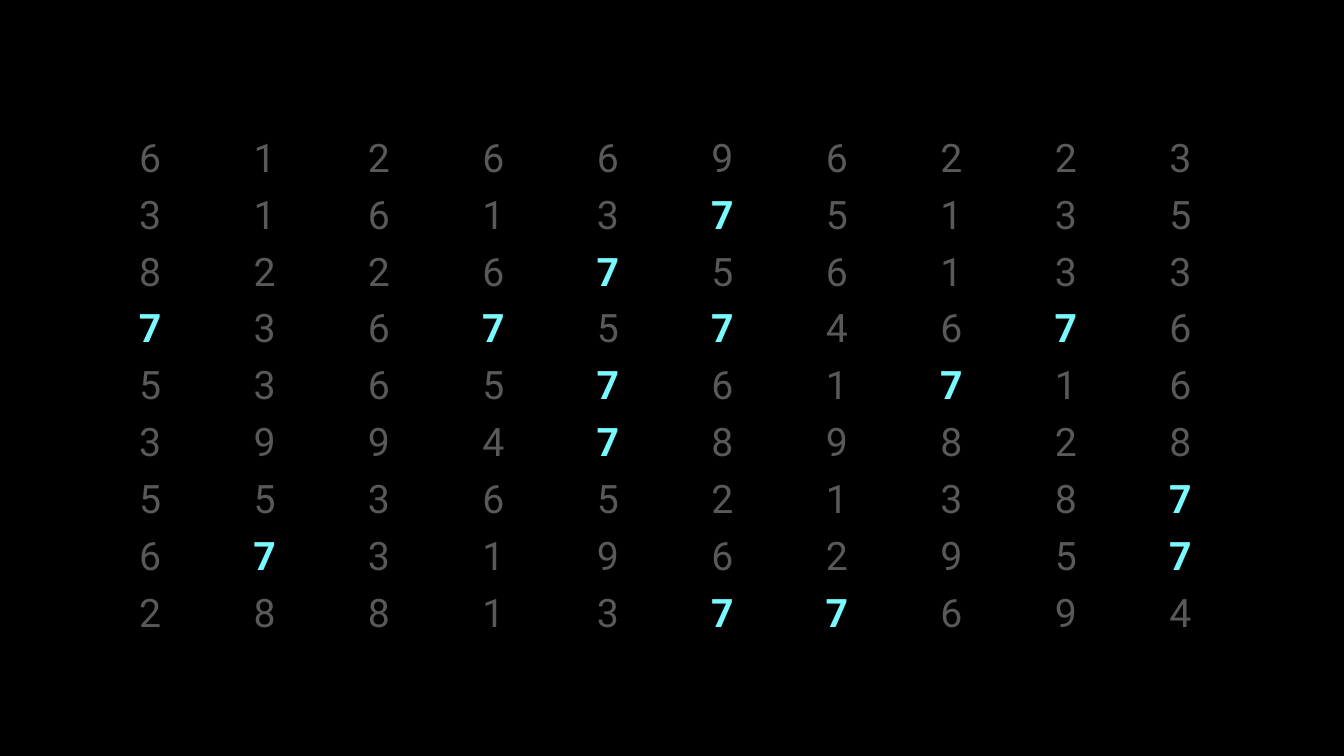
"""Build a slide with a grid of digits in which every seven stands out."""
from dataclasses import dataclass

from lxml.etree import SubElement as Sub
from pptx import Presentation
from pptx.dml.color import RGBColor as Rgb
from pptx.enum.text import MSO_ANCHOR as Anchor, PP_ALIGN as Align
from pptx.oxml.ns import qn
from pptx.util import Pt

DIGITS = (
    "6126696223",
    "3161375133",
    "8226756133",
    "7367574676",
    "5365761716",
    "3994789828",
    "5536521387",
    "6731962957",
    "2881377694",
)
DIGITS = DIGITS[:1] + ("3161375135",) + DIGITS[2:4] + ("5365761716",) + DIGITS[5:]
TARGET = "7"


@dataclass(frozen=True)
class Theme:
    """Hold the colours, font and type size."""
    back: Rgb = Rgb(0, 0, 0)
    dim: Rgb = Rgb(0x59, 0x59, 0x59)
    glow: Rgb = Rgb(0x78, 0xFA, 0xFF)
    font: str = "Roboto"
    size: int = 28


THEME = Theme()
WIDE, HIGH = 960, 540
LEFT, TOP = 66.24, 92.88
COL, ROW = 81.8, 40.64
PAD = 0.72


def clear(cell):
    """Remove the borders and fill of a cell."""
    props = cell._tc.get_or_add_tcPr()
    for side in ("a:lnL", "a:lnR", "a:lnT", "a:lnB"):
        Sub(Sub(props, qn(side), w="0"), qn("a:noFill"))
    cell.fill.background()


def write(cell, digit):
    """Put one digit in a cell."""
    clear(cell)
    cell.margin_left = cell.margin_right = cell.margin_top = Pt(PAD)
    cell.margin_bottom = Pt(0)
    cell.vertical_anchor = Anchor.MIDDLE
    para = cell.text_frame.paragraphs[0]
    para.alignment = Align.CENTER
    run = para.add_run()
    run.text = digit
    font = run.font
    font.name, font.size = THEME.font, Pt(THEME.size)
    font.bold = digit == TARGET
    font.color.rgb = THEME.glow if digit == TARGET else THEME.dim


def main():
    """Build and save the slide."""
    deck = Presentation()
    deck.slide_width, deck.slide_height = Pt(WIDE), Pt(HIGH)
    slide = deck.slides.add_slide(deck.slide_layouts[6])
    fill = slide.background.fill
    fill.solid()
    fill.fore_color.rgb = THEME.back
    rows, cols = len(DIGITS), len(DIGITS[0])
    grid = slide.shapes.add_table(
        rows, cols, Pt(LEFT), Pt(TOP), Pt(COL * cols), Pt(ROW * rows)
    ).table
    grid.first_row = grid.horz_banding = False
    for col in grid.columns:
        col.width = Pt(COL)
    for row, line in zip(grid.rows, DIGITS):
        row.height = Pt(ROW)
        for cell, digit in zip(row.cells, line):
            write(cell, digit)
    deck.save("out.pptx")


if __name__ == "__main__":
    main()
